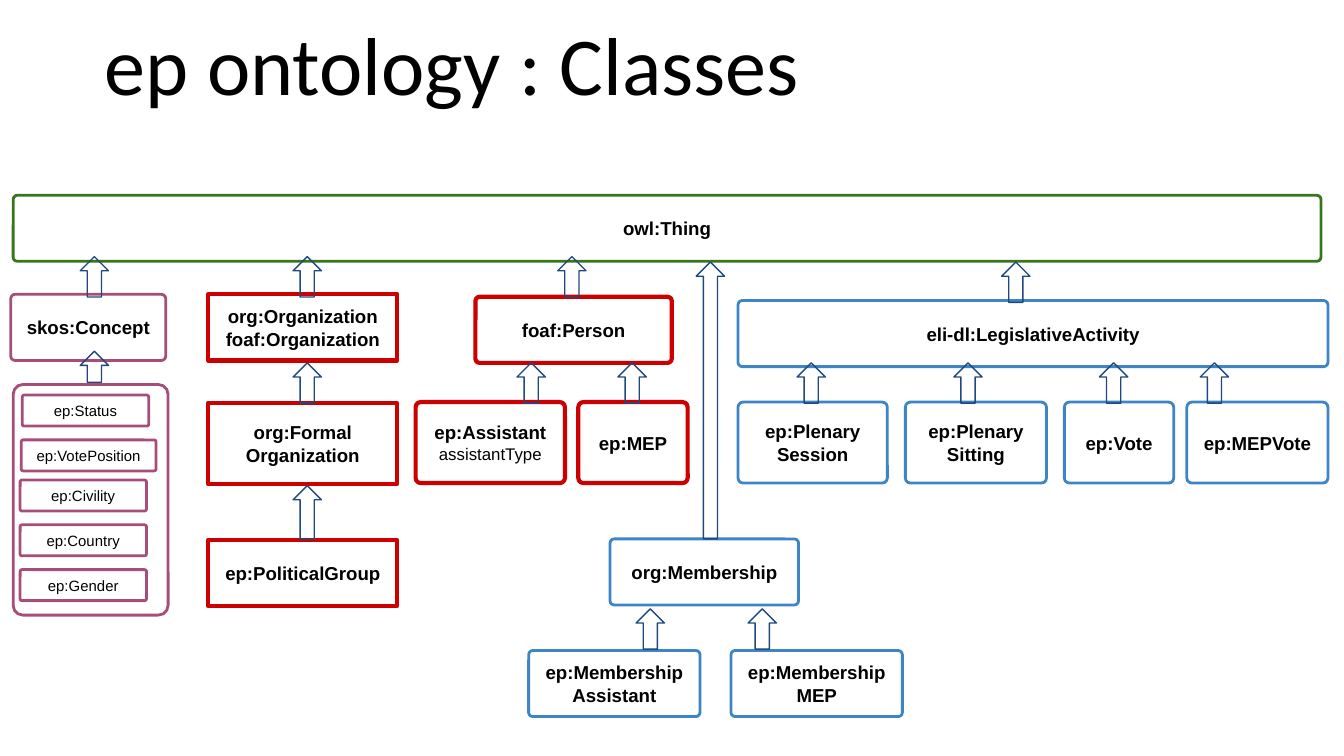
from dataclasses import dataclass

from pptx import Presentation
from pptx.dml.color import RGBColor
from pptx.enum.shapes import MSO_SHAPE
from pptx.enum.text import MSO_ANCHOR, PP_ALIGN
from pptx.util import Pt

ROUNDED = MSO_SHAPE.ROUNDED_RECTANGLE
UP_ARROW = MSO_SHAPE.UP_ARROW
MIDDLE = MSO_ANCHOR.MIDDLE
CENTER = PP_ALIGN.CENTER


@dataclass(frozen=True)
class Theme:
    text: str = "000000"
    thing: str = "38761D"
    concept: str = "A64D79"
    agent: str = "CC0000"
    activity: str = "3D85C6"
    arrow: str = "1F497D"
    title_size: int = 44
    class_size: int = 10
    property_size: int = 9
    term_size: int = 8
    thin: float = 0.75
    medium: float = 1.5
    thick: float = 2.25
    corner: float = 0.063


THEME = Theme()
FORMATS = {
    "title": {"name": "Calibri", "size": Pt(THEME.title_size), "bold": False},
    "class": {"name": "Arial", "size": Pt(THEME.class_size), "bold": True},
    "property": {"name": "Arial", "size": Pt(THEME.property_size), "bold": False},
    "term": {"name": "Arial", "size": Pt(THEME.term_size), "bold": False},
}


class OntologySlide:
    def __init__(self, slide, theme):
        self.slide = slide
        self.theme = theme

    def set_text(self, shape, lines, margin):
        frame = shape.text_frame
        settings = {
            "word_wrap": True, "vertical_anchor": MIDDLE,
            "margin_left": Pt(7.2), "margin_right": Pt(7.2),
            "margin_top": Pt(margin), "margin_bottom": Pt(margin),
        }
        for name, value in settings.items():
            setattr(frame, name, value)
        for index, (text, style) in enumerate(lines):
            para = frame.add_paragraph() if index else frame.paragraphs[0]
            para.alignment = CENTER
            span = para.add_run()
            span.text = text
            for name, value in FORMATS[style].items():
                setattr(span.font, name, value)
            span.font.color.rgb = RGBColor.from_string(self.theme.text)

    def title(self, text, left, top, width, height):
        box = self.slide.shapes.add_textbox(Pt(left), Pt(top), Pt(width), Pt(height))
        self.set_text(box, [(text, "title")], 3.6)

    def outline(self, kind, left, top, width, height, color, weight):
        shape = self.slide.shapes.add_shape(kind, Pt(left), Pt(top), Pt(width), Pt(height))
        shape.shadow.inherit = False
        shape.fill.background()
        shape.line.color.rgb = RGBColor.from_string(color)
        shape.line.width = Pt(weight)
        return shape

    def box(self, lines, left, top, width, height, color, style="class", square=False):
        weight = self.theme.thick if color == self.theme.agent else self.theme.medium
        shape = self.outline(ROUNDED, left, top, width, height, color, weight)
        shape.adjustments[0] = 0 if square else self.theme.corner
        # A line is plain text in the box style, or a pair of text and style
        pairs = [(line, style) if isinstance(line, str) else line for line in lines]
        if pairs:
            self.set_text(shape, pairs, 7.2)

    def arrow(self, center, top, height=21.6):
        width = 15.2
        self.outline(UP_ARROW, center - width / 2, top, width, height,
                     self.theme.arrow, self.theme.thin)


def main():
    deck = Presentation()
    deck.slide_width, deck.slide_height = Pt(720), Pt(405)
    page = OntologySlide(deck.slides.add_slide(deck.slide_layouts[6]), THEME)
    low, tall = 35.4, 43.4
    subclass_top = 215.4
    member_top, member_leaf_top = 288.7, 348.5

    page.title("ep ontology : Classes", 24.5, 10.8, 435.6, 45.4)

    # Root class
    page.box(["owl:Thing"], 7.1, 104.6, 700.6, low, THEME.thing)

    # Concepts and their terms
    page.box(["skos:Concept"], 5.8, 157.7, 83, low, THEME.concept)
    page.box([], 7.1, 206, 83, 123.6, THEME.concept)
    for text, left, top, width in [
        ("ep:Status", 12, 211.7, 67.7),
        ("ep:VotePosition", 11.4, 235.7, 72.2),
        ("ep:Civility", 10.8, 257.2, 67.7),
        ("ep:Country", 10.8, 281.2, 67.7),
        ("ep:Gender", 10.8, 305.2, 67.7),
    ]:
        page.box([text], left, top, width, 16.6, THEME.concept, "term")

    # Organizations
    for lines, top, height in [
        (["org:Organization", "foaf:Organization"], 157.7, low),
        (["org:Formal", "Organization"], 215.8, tall),
        (["ep:PoliticalGroup"], 289.3, low),
    ]:
        page.box(lines, 111.6, top, 101.2, height, THEME.agent, square=True)

    # Persons
    page.box(["foaf:Person"], 254.7, 159, 105.2, low, THEME.agent)
    for lines, left, width in [
        (["ep:Assistant", ("assistantType", "property")], 222.7, 80),
        (["ep:MEP"], 309.8, 58.6),
    ]:
        page.box(lines, left, subclass_top, width, tall, THEME.agent)

    # Legislative activities
    page.box(["eli-dl:LegislativeActivity"], 395.4, 161, 316, low, THEME.activity)
    for lines, left, width in [
        (["ep:Plenary", "Session"], 395.4, 80),
        (["ep:Plenary", "Sitting"], 485, 75.6),
        (["ep:Vote"], 570.2, 58.6),
        (["ep:MEPVote"], 635.8, 75.6),
    ]:
        page.box(lines, left, subclass_top, width, tall, THEME.activity)

    # Memberships
    page.box(["org:Membership"], 326.8, member_top, 101, low, THEME.activity)
    for lines, left in [
        (["ep:Membership Assistant"], 283.2),
        (["ep:Membership", "MEP"], 391.6),
    ]:
        page.box(lines, left, member_leaf_top, 91.8, low, THEME.activity)

    # Subclass arrows, one row of equal arrows per level
    for top, centers in [
        (137.5, (50.6, 164.6, 306.4)),
        (140.4, (544.2,)),
        (194.4, (164.6, 284.6, 338.7, 434.6, 518.6, 596.6, 650.6)),
        (326.2, (348.4, 408.4)),
    ]:
        for center in centers:
            page.arrow(center, top)

    # Arrows of other lengths
    for center, top, height in [
        (50.6, 188.2, 16.6),
        (164.6, 260.2, 28.8),
        (380.6, 140.4, 148.3),
    ]:
        page.arrow(center, top, height)

    deck.save("out.pptx")


if __name__ == "__main__":
    main()
